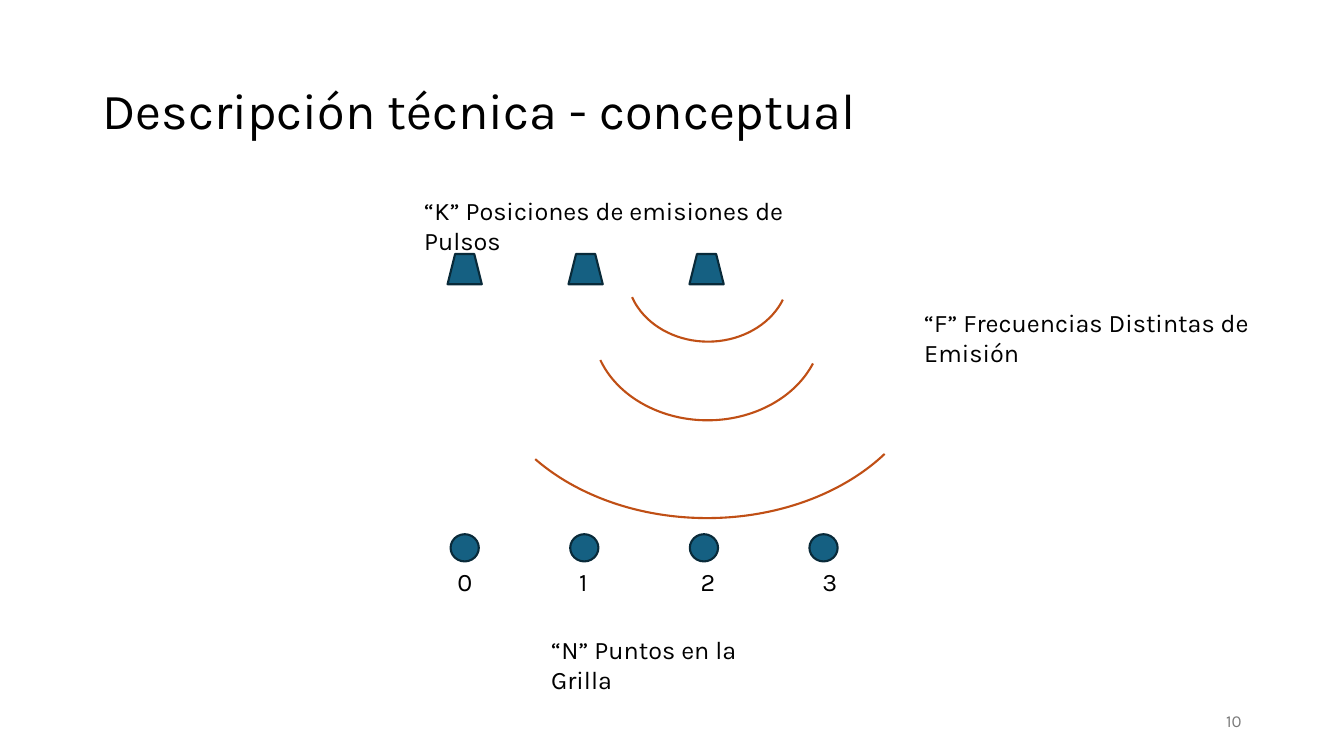
import pptx
import pptx.util
import pptx.dml.color
import pptx.enum.shapes
import pptx.enum.text

COLS, ROWS = 160, 90
KIND = pptx.enum.shapes.MSO_SHAPE
ALIGN = pptx.enum.text.PP_ALIGN
ANCHOR = pptx.enum.text.MSO_ANCHOR
BLUE, NAVY, RUST = "156082", "092A39", "C04F15"

deck = pptx.Presentation()
deck.slide_width = pptx.util.Inches(13.33)
deck.slide_height = pptx.util.Inches(7.5)


def grid(left, top, wide, high):
    col, row = deck.slide_width / COLS, deck.slide_height / ROWS
    return [round(n * unit) for n, unit in zip((left, top, wide, high), (col, row) * 2)]


def paint(target, color):
    target.rgb = pptx.dml.color.RGBColor.from_string(color)


def apply(target, look):
    for name, value in look.items():
        setattr(target, name, value)


def write(box, text, size=18, color="000000", align=ALIGN.LEFT, anchor=ANCHOR.TOP, lead=1.0):
    frame = box.text_frame
    frame.text = text
    apply(frame, {"word_wrap": True, "vertical_anchor": anchor,
                  "auto_size": pptx.enum.text.MSO_AUTO_SIZE.NONE})
    para = frame.paragraphs[0]
    apply(para, {"alignment": align, "line_spacing": lead})
    font = para.runs[0].font
    apply(font, {"name": "Karla", "size": pptx.util.Pt(size)})
    paint(font.color, color)


def head(slide, text, place):
    title = slide.shapes.title
    apply(title, dict(zip(("left", "top", "width", "height"), grid(*place))))
    write(title, text, size=36, anchor=ANCHOR.MIDDLE, lead=0.9)


def note(slide, text, place, **look):
    write(slide.shapes.add_textbox(*grid(*place)), text, **look)


def draw(slide, kind, place, line, fill=None):
    shape = slide.shapes.add_shape(kind, *grid(*place))
    shape.shadow.inherit = False
    if fill:
        shape.fill.solid()
        paint(shape.fill.fore_color, fill)
    else:
        shape.fill.background()
    paint(shape.line.color, line)
    shape.line.width = pptx.util.Pt(1.5)
    return shape


def wave(slide, place, start, end):
    arc = draw(slide, KIND.ARC, place, RUST)
    arc.adjustments[0] = start
    arc.adjustments[1] = end


def main():
    slide = deck.slides.add_slide(deck.slide_layouts[5])
    head(slide, "Descripción técnica - conceptual", (11, 4.8, 138, 17.4))
    note(slide, "10", (113, 83.4, 36, 4.8), size=12, color="797979",
         align=ALIGN.RIGHT, anchor=ANCHOR.MIDDLE)
    for n in range(4):
        draw(slide, KIND.OVAL, (53.64 + 14.24 * n, 63.6, 3.36, 3.24), NAVY, BLUE)
        note(slide, str(n), (53.28 + 14.48 * n, 66.84, 4.08, 4.8))
    for n in range(3):
        draw(slide, KIND.TRAPEZOID, (53.28 + 14.4 * n, 30.24, 4.08, 3.6), NAVY, BLUE)
    for place, start, end in (
        ((74.64, 24.36, 19.32, 16.32), 11.73, 97.46),
        ((70.56, 27.6, 27.36, 22.44), 11.73, 97.46),
        ((57.24, 21.48, 53.88, 40.2), 18.31, 88.44),
    ):
        wave(slide, place, start, end)
    for text, left, top, wide in (
        ("“N” Puntos en la Grilla", 64.44, 74.88, 31.2),
        ("“K” Posiciones de emisiones de Pulsos", 49.32, 22.68, 52.8),
        ("“F” Frecuencias Distintas de Emisión", 108.84, 36, 50.64),
    ):
        note(slide, text, (left, top, wide, 4.8))
    deck.save("out.pptx")


if __name__ == "__main__":
    main()
